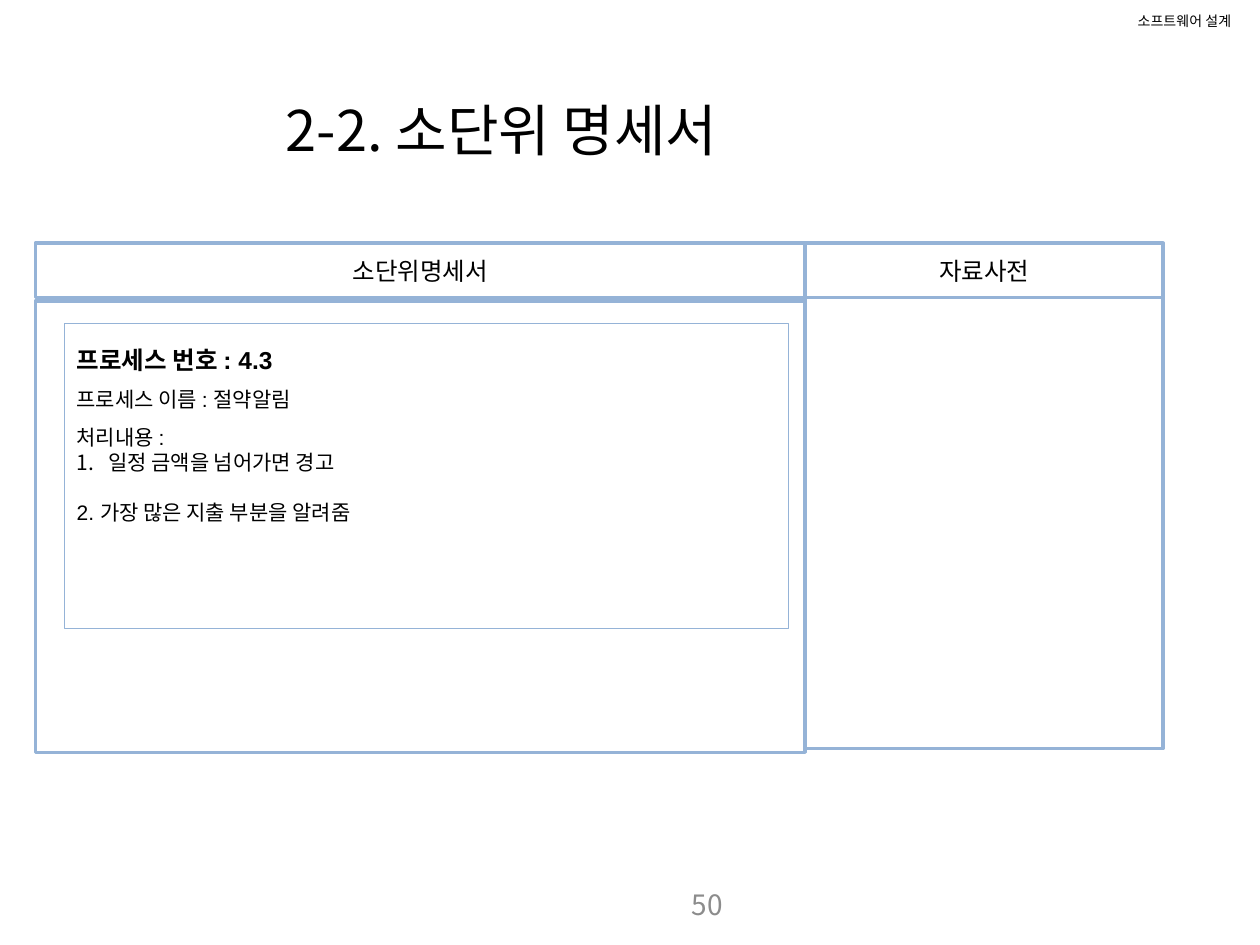
import pptx
import pptx.util
import pptx.dml.color
import pptx.enum.shapes
import pptx.enum.text
import pptx.oxml.ns
from lxml import etree

Pt = pptx.util.Pt
ALIGN = pptx.enum.text.PP_ALIGN
ANCHOR = pptx.enum.text.MSO_ANCHOR
SANS = "Noto Sans CJK KR"
EDGE = "95B3D7"

LEFT, TOP = 20.2, 139
WIDE, SIDE = 440, 204.5
HEAD, BODY = 31, 257.8


def color(code):
    return pptx.dml.color.RGBColor.from_string(code)


def child(parent, tag, **attrs):
    return etree.SubElement(parent, pptx.oxml.ns.qn(tag), **attrs)


def style(par, size, font=SANS, code="000000", bold=False):
    for run in par.runs:
        run.font.size = Pt(size)
        run.font.bold = bold
        run.font.color.rgb = color(code)
        run.font.name = font
        child(run.font._element, "a:ea", typeface=SANS)


def number(par):
    """Give the paragraph an automatic number and a hanging indent."""
    props = par._p.get_or_add_pPr()
    props.set("marL", str(Pt(18)))
    props.set("indent", str(-Pt(18)))
    child(props, "a:buFont", typeface=SANS)
    child(props, "a:buAutoNum", type="arabicPeriod")


def panel(slide, x, y, w, h, line=2, fill="FFFFFF"):
    kind = pptx.enum.shapes.MSO_SHAPE.RECTANGLE
    box = slide.shapes.add_shape(kind, Pt(x), Pt(y), Pt(w), Pt(h))
    box.shadow.inherit = False
    if fill:
        box.fill.solid()
        box.fill.fore_color.rgb = color(fill)
    else:
        box.fill.background()
    box.line.color.rgb = color(EDGE)
    box.line.width = Pt(line)
    return box


def header(slide, x, w, text):
    frame = panel(slide, x, TOP, w, HEAD).text_frame
    frame.margin_left = frame.margin_right = Pt(1.44)
    frame.margin_top = frame.margin_bottom = Pt(1.44)
    frame.vertical_anchor = ANCHOR.MIDDLE
    frame.text = text
    frame.paragraphs[0].alignment = ALIGN.CENTER
    style(frame.paragraphs[0], 14)


def label(slide, x, y, w, h, text, size, code="000000", wrap=True,
          align=ALIGN.LEFT, anchor=ANCHOR.TOP):
    frame = slide.shapes.add_textbox(Pt(x), Pt(y), Pt(w), Pt(h)).text_frame
    frame.word_wrap = wrap
    frame.vertical_anchor = anchor
    frame.text = text
    frame.paragraphs[0].alignment = align
    style(frame.paragraphs[0], size, code=code)


def process(slide, lines):
    """Draw the process box: three spaced lines, then two steps."""
    frame = panel(slide, 36.7, 185, 414, 174.2, 0.75, None).text_frame
    frame.word_wrap = True
    frame.vertical_anchor = ANCHOR.TOP
    frame.text = "\n".join(lines)
    pars = frame.paragraphs
    for par in pars:
        par.alignment = ALIGN.LEFT
    for par in pars[:3]:
        par.line_spacing = 1.5
    number(pars[3])
    pars[4].space_before = Pt(14.3)
    style(pars[0], 14, "Arial", bold=True)
    for par in pars[1:]:
        style(par, 12, "Arial")


def main():
    deck = pptx.Presentation()
    deck.slide_width, deck.slide_height = Pt(720), Pt(540)
    slide = deck.slides.add_slide(deck.slide_layouts[6])

    panel(slide, LEFT, TOP + HEAD + 2.1, WIDE, BODY)
    process(slide, ["프로세스 번호 : 4.3", "프로세스 이름 : 절약알림", "처리내용 :",
                    "일정 금액을 넘어가면 경고", "2. 가장 많은 지출 부분을 알려줌"])
    header(slide, LEFT, WIDE, "소단위명세서")
    panel(slide, LEFT + WIDE, TOP + HEAD, SIDE, BODY)
    header(slide, LEFT + WIDE, SIDE, "자료사전")

    label(slide, 643, 3.6, 72.7, 17.3, "소프트웨어 설계", 8, wrap=False)
    label(slide, 156.2, 51.1, 305.3, 46.1, "2-2. 소단위 명세서", 32)
    label(slide, 252, 502.6, 168, 28.8, "50", 16, "8C8C8C",
          align=ALIGN.RIGHT, anchor=ANCHOR.MIDDLE)
    deck.save("out.pptx")


if __name__ == "__main__":
    main()
